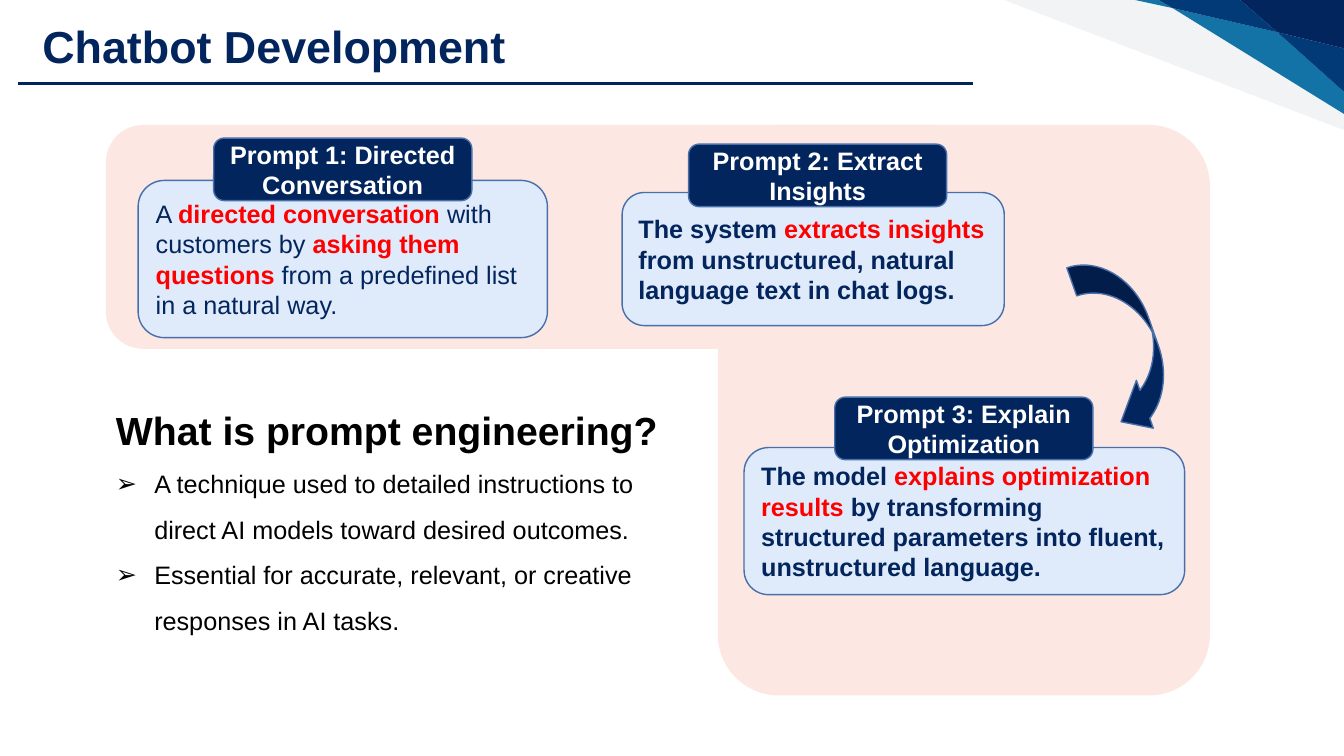
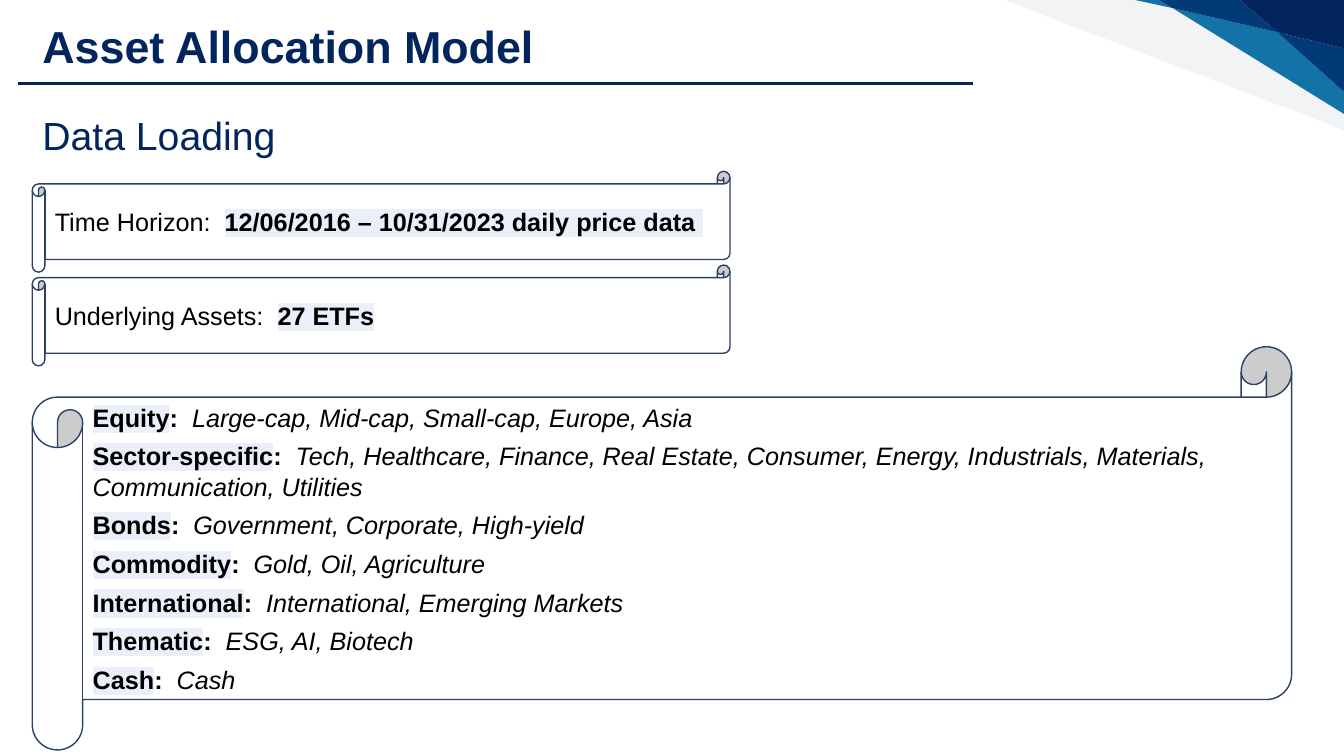
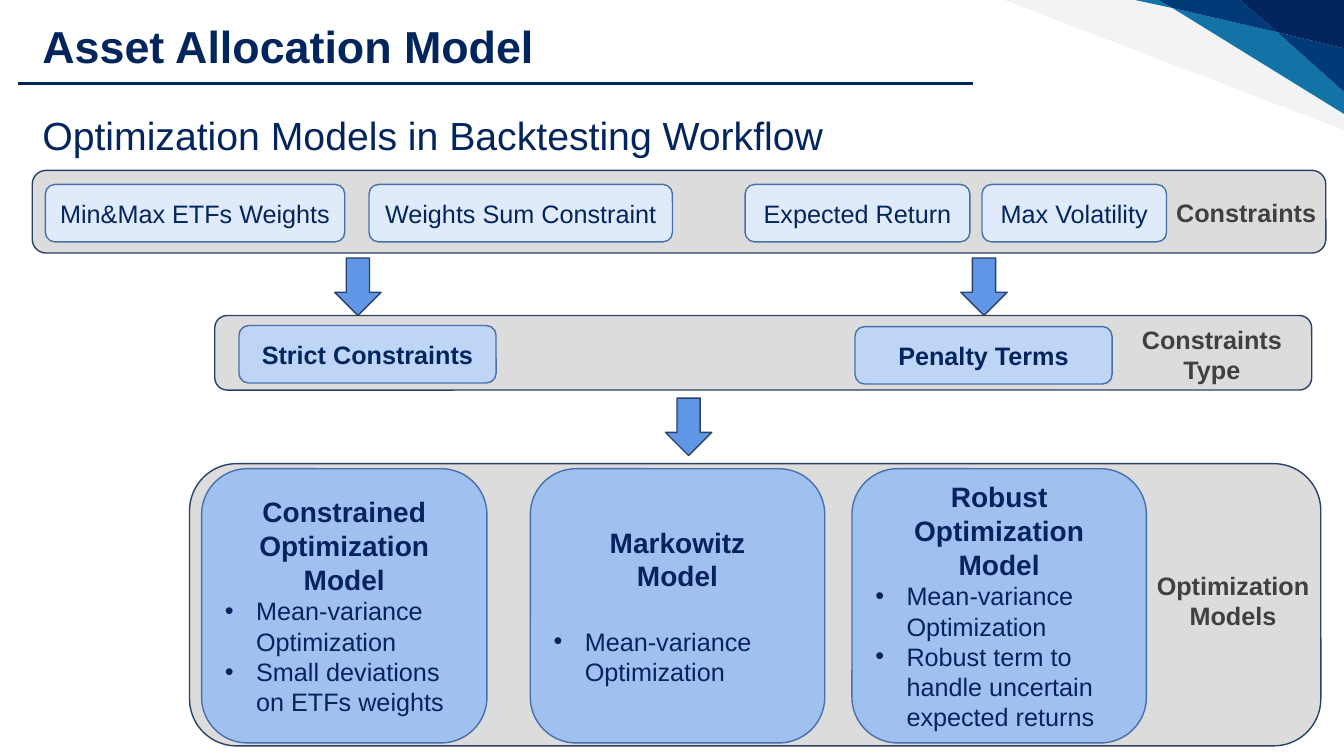
from dataclasses import dataclass
from typing import NamedTuple, Optional, Sequence

from lxml import etree
from pptx import Presentation
from pptx import util as u
from pptx.dml import color
from pptx.enum import shapes, text
from pptx.oxml import ns


@dataclass(frozen=True)
class Theme:
    """Colours, font and type sizes of the deck."""
    font: str = "Arial"
    navy: str = "03255D"
    deep: str = "023977"
    teal: str = "1372A6"
    mist: str = "F1F3F4"
    blush: str = "FCE7E2"
    pale: str = "DFEAFA"
    light: str = "BFD5F5"
    mid: str = "A0C0F0"
    bright: str = "6096E6"
    panel: str = "DCDCDC"
    edge: str = "476FAA"
    dark_edge: str = "2A4265"
    marker: str = "EAEFFA"
    red: str = "FF0000"
    grey: str = "404040"
    black: str = "000000"
    white: str = "FFFFFF"
    title: float = 32
    heading: float = 28
    model: float = 20
    body: float = 18


THEME = Theme()
KIND = shapes.MSO_SHAPE
CENTER = text.PP_ALIGN.CENTER
LEFT = text.PP_ALIGN.LEFT


class Box(NamedTuple):
    """Place and size in inches."""
    left: float
    top: float
    width: float
    height: float


class Span(NamedTuple):
    """A run of evenly formatted text."""
    words: str
    size: float = THEME.body
    ink: str = THEME.navy
    bold: bool = False
    italic: bool = False
    marker: Optional[str] = None


class Para(NamedTuple):
    """A paragraph made of spans."""
    spans: Sequence[Span]
    align: text.PP_ALIGN = LEFT
    bullet: str = ""
    indent: float = 0
    before: float = 0
    spacing: Optional[float] = None


class Prompt(NamedTuple):
    """A prompt card with its heading tab."""
    heading: str
    tab: tuple[float, float]
    card: Box
    spans: Sequence[Span]


class Chip(NamedTuple):
    """A labelled box in a workflow row."""
    label: str
    box: Box
    fill: str
    bold: bool = False


class Model(NamedTuple):
    """An optimization model with its features."""
    heading: Sequence[str]
    left: float
    width: float
    features: Sequence[str]
    gap: float = 0


class Label(NamedTuple):
    """A caption beside a workflow row."""
    lines: Sequence[str]
    box: Box


def rgb(value: str) -> color.RGBColor:
    """Turn a hex value into a colour."""
    return color.RGBColor.from_string(value)


def place(item, box: Box) -> None:
    """Move and size an object."""
    item.left, item.top, item.width, item.height = map(u.Inches, box)


def add_span(para, span: Span) -> None:
    """Append one formatted run."""
    run = para.add_run()
    run.text = span.words
    font = run.font
    font.name, font.size = THEME.font, u.Pt(span.size)
    font.bold, font.italic = span.bold, span.italic
    font.color.rgb = rgb(span.ink)
    if span.marker:
        highlight = etree.Element(ns.qn("a:highlight"))
        etree.SubElement(highlight, ns.qn("a:srgbClr"), val=span.marker)
        font.fill  # the solid fill precedes the highlight
        run.font._element.find(ns.qn("a:solidFill")).addnext(highlight)


def write(item, paras: Sequence[Para], anchor=text.MSO_ANCHOR.TOP) -> None:
    """Fill the text frame of an object."""
    frame = item.text_frame
    frame.word_wrap = True
    frame.auto_size = text.MSO_AUTO_SIZE.NONE
    frame.vertical_anchor = anchor
    for index, entry in enumerate(paras):
        para = frame.add_paragraph() if index else frame.paragraphs[0]
        para.alignment = entry.align
        para.space_before = u.Pt(entry.before)
        if entry.spacing:
            para.line_spacing = entry.spacing
        props = para._p.get_or_add_pPr()
        props.set("marL", str(u.Inches(entry.indent)))
        props.set("indent", str(-u.Inches(entry.indent)))
        if entry.bullet:
            etree.SubElement(props, ns.qn("a:buFont"), typeface=THEME.font)
            etree.SubElement(props, ns.qn("a:buChar"), char=entry.bullet)
        else:
            etree.SubElement(props, ns.qn("a:buNone"))
        for span in entry.spans:
            add_span(para, span)


def paint(shape, fill: str, line: Optional[str] = None) -> None:
    """Set fill and outline, without a shadow."""
    shape.shadow.inherit = False
    shape.fill.solid()
    shape.fill.fore_color.rgb = rgb(fill)
    if line:
        shape.line.color.rgb = rgb(line)
        shape.line.width = u.Pt(1)
    else:
        shape.line.fill.background()


def add_shape(page, kind, box: Box, fill: str, line: Optional[str] = None,
              paras: Sequence[Para] = ()):
    """Draw a preset shape with optional text."""
    shape = page.shapes.add_shape(kind, *map(u.Inches, box))
    paint(shape, fill, line)
    if paras:
        write(shape, paras, text.MSO_ANCHOR.MIDDLE)
    return shape


def add_corner(page, layout) -> None:
    """Draw the corner facets and hand them to the layout."""
    facets = (
        (THEME.mist, [(9.96, 0), (13.33, 1.29), (13.33, 0)]),
        (THEME.teal, [(11.26, 0), (11.63, 0.08), (11.49, 0)]),
        (THEME.teal, [(11.63, 0.08), (13.33, 1.13), (13.33, 0.91), (12.67, 0.32)]),
        (THEME.deep, [(12.67, 0.32), (13.33, 0.91), (13.33, 0.48)]),
        (THEME.navy, [(12.3, 0), (12.67, 0.32), (13.33, 0.48), (13.33, 0)]),
        (THEME.deep, [(11.49, 0), (11.63, 0.08), (12.67, 0.32), (12.3, 0)]),
    )
    for fill, points in facets:
        corners = [(u.Inches(x), u.Inches(y)) for x, y in points]
        builder = page.shapes.build_freeform(*corners[0])
        builder.add_line_segments(corners[1:], close=True)
        facet = builder.convert_to_shape()
        paint(facet, fill)
        layout.shapes.element.append(facet.element)


def add_page(deck, layout, title: str, body: Sequence[Para], body_box: Box):
    """Add a slide with title, rule and body text."""
    page = deck.slides.add_slide(layout)
    place(page.shapes.title, Box(0.32, 0.14, 7.09, 0.64))
    write(page.shapes.title, [Para([Span(title, THEME.title, bold=True)])])
    place(page.placeholders[1], body_box)
    write(page.placeholders[1], body)
    rule = page.shapes.add_connector(
        shapes.MSO_CONNECTOR.STRAIGHT, *map(u.Inches, (0.18, 0.83, 9.65, 0.83)))
    rule.line.color.rgb = rgb(THEME.navy)
    rule.line.width = u.Pt(2.25)
    etree.SubElement(rule.element.spPr, ns.qn("a:effectLst"))
    return page


def add_prompt(page, prompt: Prompt) -> None:
    """Draw a prompt card under its tab."""
    add_shape(page, KIND.ROUNDED_RECTANGLE, prompt.card, THEME.pale, THEME.edge,
              [Para(prompt.spans)])
    heading = Span(prompt.heading, ink=THEME.white, bold=True)
    add_shape(page, KIND.ROUNDED_RECTANGLE, Box(*prompt.tab, 2.56, 0.62),
              THEME.navy, THEME.edge, [Para([heading], CENTER)])


def build_chatbot(deck, layout):
    """Build the prompt overview."""
    question = Span("What is prompt engineering?", THEME.heading, THEME.black, True)
    answers = (
        "A technique used to detailed instructions to direct AI models toward desired outcomes.",
        "Essential for accurate, relevant, or creative responses in AI tasks.",
    )
    body = [Para([question], spacing=1.5)] + [
        Para([Span(answer, ink=THEME.black)], bullet="➢", indent=0.38, spacing=1.5)
        for answer in answers]
    page = add_page(deck, layout, "Chatbot Development", body,
                    Box(1.05, 3.75, 5.98, 2.96))
    column = add_shape(page, KIND.ROUNDED_RECTANGLE, Box(7.12, 1.24, 4.88, 5.66),
                       THEME.blush)
    column.adjustments[0] = 0.124
    add_shape(page, KIND.ROUNDED_RECTANGLE, Box(1.05, 1.24, 10.44, 2.22), THEME.blush)

    def key(words: str) -> Span:
        return Span(words, ink=THEME.red, bold=True)

    prompts = (
        Prompt("Prompt 1: Directed Conversation", (2.12, 1.37),
               Box(1.37, 1.79, 4.06, 1.56),
               [Span("A "), key("directed conversation"), Span(" with customers by "),
                key("asking them questions"),
                Span(" from a predefined list in a natural way.")]),
        Prompt("Prompt 2: Extract Insights", (6.83, 1.43),
               Box(6.17, 1.91, 3.79, 1.32),
               [Span("The system ", bold=True), key("extracts insights "),
                Span("from unstructured, natural language text in chat logs.", bold=True)]),
        Prompt("Prompt 3: Explain Optimization", (8.28, 3.94),
               Box(7.38, 4.44, 4.37, 1.46),
               [Span("The model ", bold=True), key("explains optimization results"),
                Span(" by transforming structured parameters into fluent, "
                     "unstructured language.", bold=True)]),
    )
    for prompt in prompts:
        add_prompt(page, prompt)
    arrow = add_shape(page, KIND.CURVED_UP_ARROW, Box(10.24, 3.14, 1.87, 0.6),
                      THEME.navy, THEME.edge)
    for index, value in enumerate((0.491, 0.839, 0.467)):
        arrow.adjustments[index] = value
    arrow.rotation = 70.6
    arrow.element.spPr.find(ns.qn("a:xfrm")).set("flipV", "1")
    return page


def build_data(deck, layout) -> None:
    """Build the data loading slide."""
    page = add_page(deck, layout, "Asset Allocation Model",
                    [Para([Span("Data Loading", THEME.heading)])],
                    Box(0.32, 1.05, 6.67, 0.57))

    def marked(words: str) -> Span:
        return Span(words, ink=THEME.black, bold=True, marker=THEME.marker)

    facts = (
        ("Time Horizon:  ", "12/06/2016 – 10/31/2023 daily price data "),
        ("Underlying Assets:  ", "27 ETFs"),
    )
    for index, (name, value) in enumerate(facts):
        add_shape(page, KIND.HORIZONTAL_SCROLL, Box(0.32, 1.7 + 0.93 * index, 6.92, 1),
                  THEME.white, THEME.dark_edge,
                  [Para([Span(name, ink=THEME.black), marked(value)])])
    classes = {
        "Equity": "Large-cap, Mid-cap, Small-cap, Europe, Asia",
        "Sector-specific": "Tech, Healthcare, Finance, Real Estate, Consumer, Energy, "
                           "Industrials, Materials, Communication, Utilities",
        "Bonds": "Government, Corporate, High-yield",
        "Commodity": "Gold, Oil, Agriculture",
        "International": "International, Emerging Markets",
        "Thematic": "ESG, AI, Biotech",
        "Cash": "Cash",
    }
    paras = [Para([marked(name), Span(":  ", ink=THEME.black, bold=True),
                   Span(members, ink=THEME.black, italic=True)], before=6)
             for name, members in classes.items()]
    add_shape(page, KIND.HORIZONTAL_SCROLL, Box(0.32, 3.44, 12.49, 4),
              THEME.white, THEME.dark_edge, paras)


def build_workflow(deck, layout) -> None:
    """Build the backtesting workflow."""
    page = add_page(deck, layout, "Asset Allocation Model",
                    [Para([Span("Optimization Models in Backtesting Workflow",
                                THEME.heading)])],
                    Box(0.32, 1.05, 8.82, 0.57))
    for row in (Box(1.88, 4.6, 11.22, 2.8), Box(0.32, 1.69, 12.83, 0.82),
                Box(2.13, 3.13, 10.88, 0.74)):
        add_shape(page, KIND.ROUNDED_RECTANGLE, row, THEME.panel, THEME.dark_edge)
    chips = (
        Chip("Min&Max ETFs Weights", Box(0.45, 1.83, 2.97, 0.57), THEME.pale),
        Chip("Weights Sum Constraint", Box(3.66, 1.83, 3.01, 0.57), THEME.pale),
        Chip("Expected Return", Box(7.39, 1.83, 2.23, 0.57), THEME.pale),
        Chip("Max Volatility", Box(9.74, 1.83, 1.83, 0.57), THEME.pale),
        Chip("Strict Constraints", Box(2.37, 3.23, 2.55, 0.57), THEME.light, True),
        Chip("Penalty Terms", Box(8.48, 3.24, 2.55, 0.57), THEME.light, True),
    )
    for chip in chips:
        add_shape(page, KIND.ROUNDED_RECTANGLE, chip.box, chip.fill, THEME.edge,
                  [Para([Span(chip.label, bold=chip.bold)], CENTER)])
    for left, top in ((3.32, 2.56), (9.53, 2.56), (6.6, 3.95)):
        add_shape(page, KIND.DOWN_ARROW, Box(left, top, 0.46, 0.57),
                  THEME.bright, THEME.dark_edge)
    variance = "Mean-variance Optimization"
    models = (
        Model(["Constrained Optimization Model"], 2, 2.83,
              [variance, "Small deviations on ETFs weights"]),
        Model(["Markowitz", "Model"], 5.26, 2.92, [variance], gap=24),
        Model(["Robust Optimization Model"], 8.45, 2.92,
              [variance, "Robust term to handle uncertain expected returns"]),
    )
    for model in models:
        paras = [Para([Span(line, THEME.model, bold=True)], CENTER)
                 for line in model.heading]
        paras += [Para([Span(feature)], bullet="•", indent=0.31, before=model.gap)
                  for feature in model.features]
        add_shape(page, KIND.ROUNDED_RECTANGLE, Box(model.left, 4.65, model.width, 2.72),
                  THEME.mid, THEME.edge, paras)
    labels = (
        Label(["Constraints"], Box(11.48, 1.91, 1.76, 0.4)),
        Label(["Constraints", "Type"], Box(11.14, 3.17, 1.76, 0.71)),
        Label(["Optimization", "Models"], Box(11.35, 5.61, 1.76, 0.71)),
    )
    for label in labels:
        caption = page.shapes.add_textbox(*map(u.Inches, label.box))
        write(caption, [Para([Span(line, ink=THEME.grey, bold=True)], CENTER)
                        for line in label.lines])


def main() -> None:
    """Build and save the deck."""
    deck = Presentation()
    deck.slide_width, deck.slide_height = u.Inches(13.33), u.Inches(7.5)
    layout = deck.slide_layouts[1]
    first = build_chatbot(deck, layout)
    add_corner(first, layout)
    build_data(deck, layout)
    build_workflow(deck, layout)
    deck.save("out.pptx")


main()
